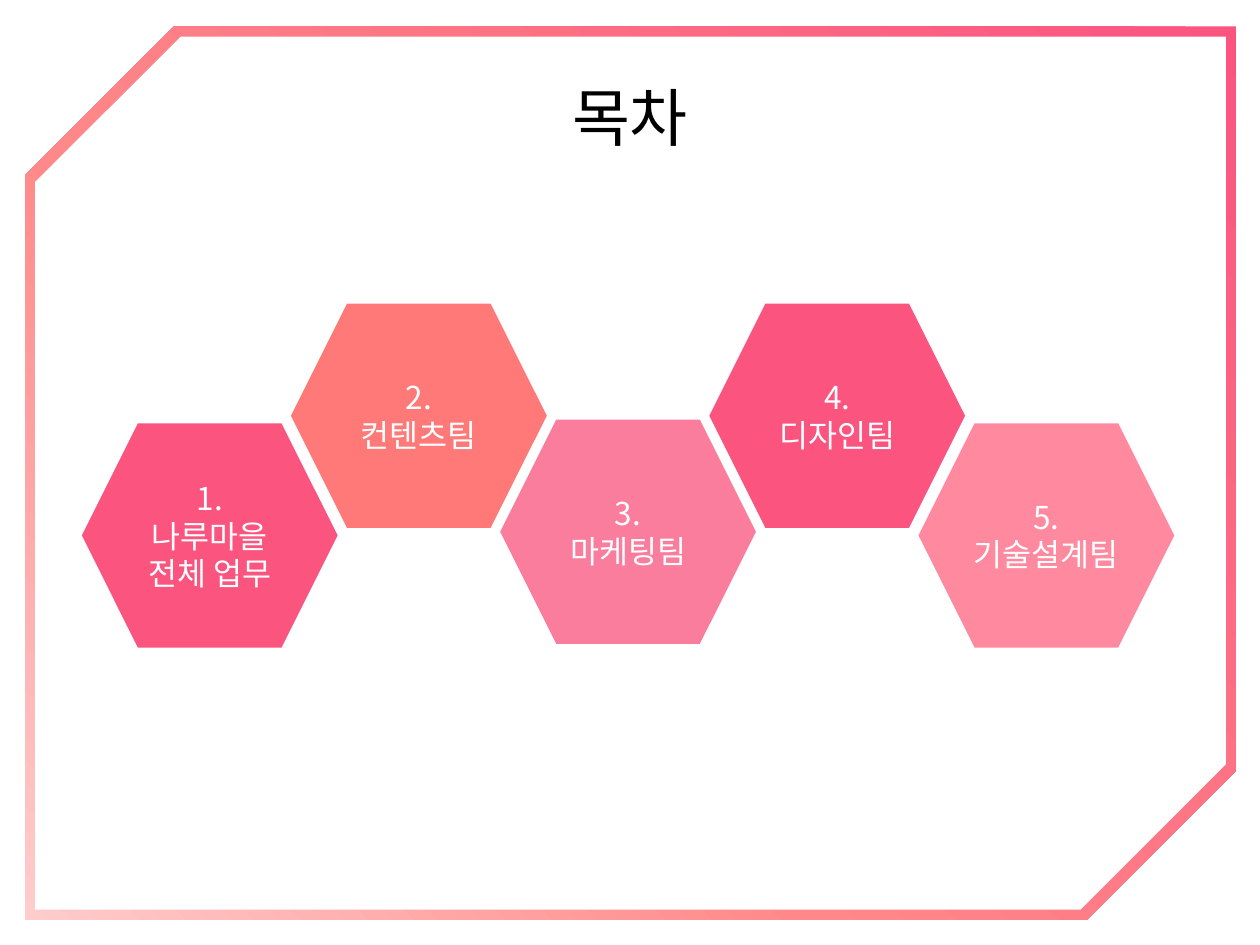
from lxml import etree
from pptx import Presentation
from pptx.dml.color import RGBColor
from pptx.enum import shapes, text
from pptx.oxml import parse_xml
from pptx.oxml.ns import qn
from pptx.util import Inches, Pt

# Content
FONT = "Noto Sans CJK KR"
COLORS = {"rose": "FA547F", "coral": "FF7979", "pink": "FB7D9E", "blush": "FF899F",
          "salmon": "FF8989", "pale": "FFCCCC", "white": "FFFFFF", "black": "000000"}
TITLE = "목차"
TEAMS = [  # lines, colour, top
    (["1.", "나루마을", "전체 업무"], "rose", 3.36),
    (["2.", "컨텐츠팀"], "coral", 2.41),
    (["3.", "마케팅팀"], "pink", 3.33),
    (["4.", "디자인팀"], "rose", 2.41),
    (["5.", "기술설계팀"], "blush", 3.36),
]
FRAME = (0.2, 0.21, 9.61, 7.09)
PANEL = (0.28, 0.29, 9.45, 6.93)
FRAME_STOPS = [(0, "rose"), (63, "salmon"), (100, "pale")]
HEX_LEFT, HEX_STEP, HEX_W, HEX_H = 0.65, 1.66, 2.03, 1.78


def add_shape(parent, kind, box, color):
    sp = parent.add_shape(kind, *map(Inches, box))
    sp.shadow.inherit = False
    sp.fill.solid()
    sp.fill.fore_color.rgb = RGBColor.from_string(COLORS[color])
    sp.line.fill.background()
    return sp


def write(tf, lines, size, color):
    tf.vertical_anchor = text.MSO_ANCHOR.MIDDLE
    for i, line in enumerate(lines):
        p = tf.paragraphs[0] if i == 0 else tf.add_paragraph()
        p.alignment = text.PP_ALIGN.CENTER
        r = p.add_run()
        r.text = line
        r.font.size = Pt(size)
        r.font.name = FONT
        r.font.color.rgb = RGBColor.from_string(COLORS[color])
        etree.SubElement(r.font._element, qn("a:ea"), typeface=FONT)


def set_gradient(sp, stops, angle):
    gs = "".join(f'<a:gs pos="{pos * 1000}"><a:srgbClr val="{COLORS[c]}"/></a:gs>'
                 for pos, c in stops)
    grad = parse_xml(
        '<a:gradFill xmlns:a="http://schemas.openxmlformats.org/drawingml/2006/main" '
        f'rotWithShape="1"><a:gsLst>{gs}</a:gsLst>'
        f'<a:lin ang="{angle * 60000}" scaled="0"/></a:gradFill>')
    spPr = sp._element.spPr
    spPr.replace(spPr.find(qn("a:solidFill")), grad)


prs = Presentation()
prs.slide_width, prs.slide_height = Inches(10), Inches(7.5)
s = prs.slides.add_slide(prs.slide_layouts[5])

# Frame: a white panel on a gradient shape, snipped top left and bottom right
group = s.shapes.add_group_shape()
SNIP = shapes.MSO_SHAPE.SNIP_2_DIAG_RECTANGLE
frame = add_shape(group.shapes, SNIP, FRAME, "rose")
panel = add_shape(group.shapes, SNIP, PANEL, "white")
for sp in (frame, panel):
    sp._element.spPr.find(qn("a:xfrm")).set("flipH", "1")
set_gradient(frame, FRAME_STOPS, 45)

# Hexagons
for i, (lines, color, top) in enumerate(TEAMS):
    box = (HEX_LEFT + i * HEX_STEP, top, HEX_W, HEX_H)
    sp = add_shape(s.shapes, shapes.MSO_SHAPE.HEXAGON, box, color)
    tf = sp.text_frame
    tf.margin_left = tf.margin_right = 0
    write(tf, lines, 18, "white")

# Title, in front of the frame
title = s.shapes.title
title.left, title.top, title.width, title.height = map(Inches, (0.5, 0.3, 9, 1.25))
write(title.text_frame, [TITLE], 36, "black")
title._element.getparent().append(title._element)

prs.save("out.pptx")
